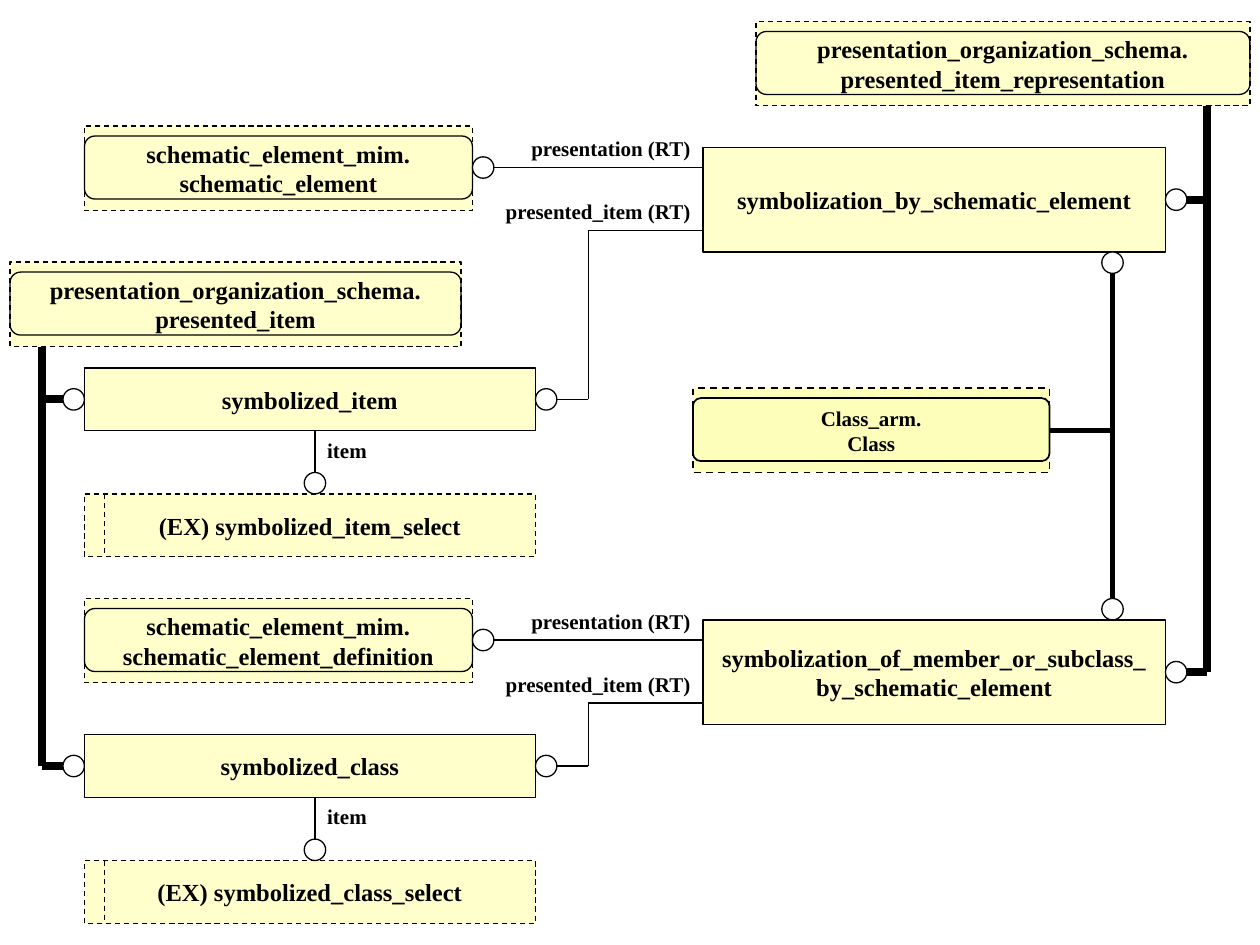
from dataclasses import dataclass

from lxml.etree import SubElement
from pptx import Presentation
from pptx.dml.color import RGBColor
from pptx.enum.dml import MSO_LINE as Dash
from pptx.enum.shapes import MSO_CONNECTOR as Connector, MSO_SHAPE as Shape
from pptx.enum.text import MSO_ANCHOR as Anchor, MSO_AUTO_SIZE as AutoSize, PP_ALIGN as Align
from pptx.oxml.ns import qn
from pptx.util import Inches, Pt


@dataclass(frozen=True)
class Theme:
    """Colours, font, type sizes in points and line widths in points."""
    ink: RGBColor = RGBColor(0x00, 0x00, 0x00)
    paper: RGBColor = RGBColor(0xFF, 0xFF, 0xFF)
    entity: RGBColor = RGBColor(0xFF, 0xFF, 0xCC)
    class_entity: RGBColor = RGBColor(0xFC, 0xFE, 0xB9)
    font: str = "Times New Roman"
    name_size: float = 14
    label_size: float = 12
    thin: float = 0.75
    medium: float = 1
    branch: float = 3
    trunk: float = 4.5


@dataclass(frozen=True)
class Box:
    """A region of the slide in inches."""
    left: float
    top: float
    width: float
    height: float

    @property
    def right(self):
        """Return the right edge."""
        return self.left + self.width

    @property
    def bottom(self):
        """Return the bottom edge."""
        return self.top + self.height

    @property
    def middle(self):
        """Return the vertical centre."""
        return self.top + self.height / 2

    def lengths(self):
        """Return the four measures as lengths."""
        return [Inches(n) for n in (self.left, self.top, self.width, self.height)]


THEME = Theme()
DOT = 0.17


def write(frame, text, size, align):
    """Write bold unwrapped lines of text in a frame."""
    frame.text = text
    frame.word_wrap = False
    for paragraph in frame.paragraphs:
        paragraph.alignment = align
        for run in paragraph.runs:
            run.font.name = THEME.font
            run.font.size = Pt(size)
            run.font.bold = True
            run.font.color.rgb = THEME.ink


def outline(shapes, kind, box, fill=None, width=THEME.thin, dashed=False):
    """Add an outlined shape, filled when a colour is given."""
    shape = shapes.add_shape(kind, *box.lengths())
    shape.shadow.inherit = False
    if fill is None:
        shape.fill.background()
    else:
        shape.fill.solid()
        shape.fill.fore_color.rgb = fill
    shape.line.color.rgb = THEME.ink
    shape.line.width = Pt(width)
    if dashed:
        shape.line.dash_style = Dash.DASH
    return shape


def entity(shapes, box, text, fill=THEME.entity, width=THEME.thin, dashed=False,
           size=THEME.name_size):
    """Add a named entity rectangle."""
    rectangle = outline(shapes, Shape.RECTANGLE, box, fill, width, dashed)
    rectangle.text_frame.vertical_anchor = Anchor.MIDDLE
    write(rectangle.text_frame, text, size, Align.CENTER)
    return rectangle


def reference(slide, box, text, adjustment=0.167, **style):
    """Add an entity referenced from another schema and return its frame."""
    group = slide.shapes.add_group_shape()
    frame = entity(group.shapes, box, text, dashed=True, **style)
    inner = Box(box.left, box.top + 0.08, box.width, 0.5)
    rounded = outline(group.shapes, Shape.ROUNDED_RECTANGLE, inner,
                      width=style.get("width", THEME.thin))
    rounded.adjustments[0] = adjustment
    return frame


def select_type(slide, box, text):
    """Add a dashed select type with its left bar."""
    entity(slide.shapes, box, text, dashed=True)
    bar = box.left + 0.16
    link(slide, (bar, box.top), (bar, box.bottom), dashed=True)


def link(slide, start, end, width=THEME.thin, dashed=False):
    """Draw a straight line between two points."""
    line = slide.shapes.add_connector(
        Connector.STRAIGHT, *(Inches(n) for n in (*start, *end)))
    line.line.color.rgb = THEME.ink
    line.line.width = Pt(width)
    if dashed:
        line.line.dash_style = Dash.DASH
    SubElement(line._element.spPr, qn("a:effectLst"))
    return line


def circle(slide, x, y):
    """Add a relation end circle centred on a point."""
    outline(slide.shapes, Shape.OVAL, Box(x - DOT / 2, y - DOT / 2, DOT, DOT), THEME.paper)


def label(slide, right, top, width, text):
    """Add a relation label ending at a right edge."""
    caption = slide.shapes.add_textbox(*Box(right - width, top, width, 0.3).lengths())
    write(caption.text_frame, text, THEME.label_size, Align.RIGHT)
    caption.text_frame.auto_size = AutoSize.SHAPE_TO_FIT_TEXT


def symbolization(slide, box, name, target, item_y):
    """Add a symbolization entity with its two relations."""
    entity(slide.shapes, box, name)
    presentation_y, presented_y = box.top + 0.16, box.top + 0.66
    elbow, item_end = 4.67, 4.25
    link(slide, (target.right + DOT, presentation_y), (box.left, presentation_y))
    circle(slide, target.right + DOT / 2, presentation_y)
    link(slide, (elbow, presented_y), (box.left, presented_y))
    link(slide, (elbow, item_y), (elbow, presented_y))
    link(slide, (item_end + DOT, item_y), (elbow, item_y))
    circle(slide, item_end + DOT / 2, item_y)
    label(slide, box.left, presentation_y - 0.3, 1.5, "presentation (RT)")
    label(slide, box.left, presented_y - 0.3, 1.7, "presented_item (RT)")


def symbolized(slide, box, name):
    """Add a symbolized entity with the select type below it."""
    entity(slide.shapes, box, name)
    stem, select_top = 2.5, box.top + 1
    link(slide, (stem, box.bottom), (stem, select_top - DOT))
    label(slide, stem + 0.51, box.bottom, 0.55, "item")
    select_type(slide, Box(box.left, select_top, box.width, box.height), f"(EX) {name}_select")
    circle(slide, stem, select_top - DOT / 2)


def subtype_tree(slide, x, top, edge, levels):
    """Draw a thick trunk with a branch to a subtype edge at each level."""
    side = 1 if edge > x else -1
    link(slide, (x, top), (x, levels[-1]), THEME.trunk)
    for y in levels:
        link(slide, (edge - side * DOT, y), (x, y), THEME.trunk)
        circle(slide, edge - side * DOT / 2, y)


def class_reference(slide, box, x, top, bottom):
    """Add the class reference and its line to both symbolizations."""
    frame = reference(slide, box, "Class_arm.\nClass", 0.125, fill=THEME.class_entity,
                      width=THEME.medium, size=THEME.label_size)
    link(slide, (x, bottom - DOT), (x, top + DOT), THEME.branch)
    branch = link(slide, (x, box.middle), (box.right, box.middle), THEME.branch)
    branch.end_connect(frame, 3)
    for y in (top + DOT / 2, bottom - DOT / 2):
        circle(slide, x, y)


def main():
    """Build the schema diagram."""
    deck = Presentation()
    deck.slide_width, deck.slide_height = Inches(10), Inches(7.5)
    slide = deck.slides.add_slide(deck.slide_layouts[6])

    representation = Box(6, 0.17, 3.92, 0.67)
    presented_item = Box(0.08, 2.08, 3.58, 0.67)
    schema = "presentation_organization_schema."
    reference(slide, representation, f"{schema}\npresented_item_representation")
    reference(slide, presented_item, f"{schema}\npresented_item")

    items = [Box(0.67, top, 3.58, 0.5) for top in (2.92, 5.83)]
    elements = [Box(0.67, top, 3.08, 0.67) for top in (1, 4.75)]
    symbols = [Box(5.58, top, 3.67, 0.83) for top in (1.17, 4.92)]
    rows = zip(
        items, elements, symbols,
        ("symbolized_item", "symbolized_class"),
        ("schematic_element", "schematic_element_definition"),
        ("symbolization_by_schematic_element",
         "symbolization_of_member_or_subclass_\nby_schematic_element"))
    for item, element, symbol, item_name, element_name, symbol_name in rows:
        symbolized(slide, item, item_name)
        reference(slide, element, f"schematic_element_mim.\n{element_name}")
        symbolization(slide, symbol, symbol_name, element, item.middle)

    subtype_tree(slide, 0.33, presented_item.bottom, items[0].left, [b.middle for b in items])
    subtype_tree(slide, 9.58, representation.bottom, symbols[0].right, [b.middle for b in symbols])
    class_reference(slide, Box(5.5, 3.08, 2.83, 0.67), 8.83, symbols[0].bottom, symbols[1].top)
    deck.save("out.pptx")


if __name__ == "__main__":
    main()
